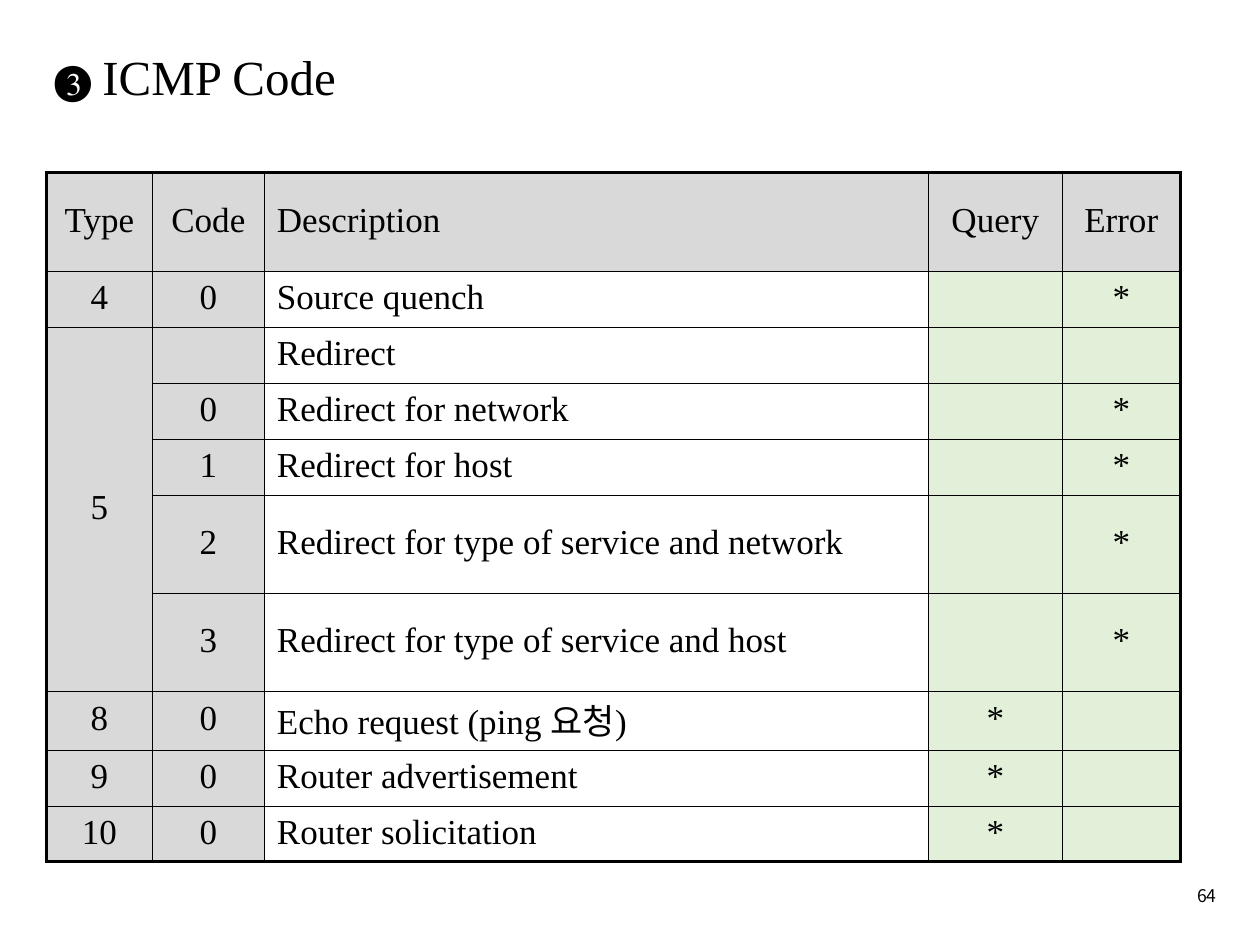
from lxml.etree import SubElement
from pptx import Presentation
from pptx.dml.color import RGBColor
from pptx.enum.text import MSO_ANCHOR as Anchor, PP_ALIGN as Align
from pptx.oxml.ns import qn
from pptx.util import Cm, Pt

SERIF, SANS = "Times New Roman", "Noto Sans CJK KR"
BLACK, WHITE, GREY, GREEN = "000000", "FFFFFF", "D9D9D9", "E2F0D9"
THIN, THICK = 0.25, 2.25

COLS = [2.13, 2.26, 13.39, 2.69, 2.39]
FILLS = [GREY, GREY, WHITE, GREEN, GREEN]
LOW, HIGH = 1.13, 1.98
ROWS = [
    (HIGH, "Type", "Code", "Description", "Query", "Error"),
    (LOW, "4", "0", "Source quench", "", "*"),
    (LOW, "5", "", "Redirect", "", ""),
    (LOW, "", "0", "Redirect for network", "", "*"),
    (LOW, "", "1", "Redirect for host", "", "*"),
    (HIGH, "", "2", "Redirect for type of service and network", "", "*"),
    (HIGH, "", "3", "Redirect for type of service and host", "", "*"),
    (LOW, "8", "0", "Echo request (ping 요청)", "*", ""),
    (LOW, "9", "0", "Router advertisement", "*", ""),
    (LOW, "10", "0", "Router solicitation", "*", ""),
]


def color(code):
    return RGBColor.from_string(code)


def style(font, name, size):
    font.name, font.size = name, Pt(size)
    font.color.rgb = color(BLACK)


def border(cell, widths):
    """Draw the left, right, top and bottom edges, widths in points."""
    props = cell._tc.get_or_add_tcPr()
    for side, width in zip("LRTB", widths):
        line = SubElement(props, qn(f"a:ln{side}"), w=str(Pt(width)))
        fill = SubElement(line, qn("a:solidFill"))
        SubElement(fill, qn("a:srgbClr"), val=BLACK)


def add_title(slide, left, top, width, height):
    title = slide.shapes.title
    title.left, title.top = Cm(left), Cm(top)
    title.width, title.height = Cm(width), Cm(height)
    frame = title.text_frame
    frame.vertical_anchor = Anchor.MIDDLE
    par = frame.paragraphs[0]
    par.alignment, par.line_spacing = Align.LEFT, 0.9
    for text, name, size in [("❸", SERIF, 24), (" ", SANS, 28),
                             ("ICMP Code", SERIF, 28)]:
        run = par.add_run()
        run.text = text
        style(run.font, name, size)


def add_codes(slide, left, top):
    """Place the table of ICMP types and codes."""
    width, height = sum(COLS), sum(row[0] for row in ROWS)
    table = slide.shapes.add_table(len(ROWS), len(COLS), Cm(left), Cm(top),
                                   Cm(width), Cm(height)).table
    table.first_row = table.horz_banding = False
    for col, size in zip(table.columns, COLS):
        col.width = Cm(size)
    last_row, last_col = len(ROWS) - 1, len(COLS) - 1
    for r, (size, *texts) in enumerate(ROWS):
        table.rows[r].height = Cm(size)
        for c, text in enumerate(texts):
            cell = table.cell(r, c)
            edges = (c == 0, c == last_col, r == 0, r == last_row)
            border(cell, [THICK if edge else THIN for edge in edges])
            cell.fill.solid()
            cell.fill.fore_color.rgb = color(GREY if r == 0 else FILLS[c])
            cell.vertical_anchor = Anchor.MIDDLE
            cell.text = text
            par = cell.text_frame.paragraphs[0]
            par.alignment = Align.LEFT if c == 2 else Align.CENTER
            par.line_spacing = 0.9
            style(par.font, SERIF, 20)
    table.cell(2, 0).merge(table.cell(6, 0))


def add_number(slide, left, top, width, height):
    box = slide.shapes.add_textbox(Cm(left), Cm(top), Cm(width), Cm(height))
    frame = box.text_frame
    frame.word_wrap, frame.vertical_anchor = True, Anchor.MIDDLE
    par = frame.paragraphs[0]
    par.text, par.alignment = "64", Align.RIGHT
    style(par.font, SANS, 10)


def main():
    deck = Presentation()
    deck.slide_width, deck.slide_height = Cm(25.4), Cm(19.05)
    slide = deck.slides.add_slide(deck.slide_layouts[5])
    add_title(slide, 0.84, 0.43, 22.76, 2.34)
    add_codes(slide, 0.94, 3.48)
    add_number(slide, 19.05, 17.55, 5.72, 1.02)
    deck.save("out.pptx")


if __name__ == "__main__":
    main()
